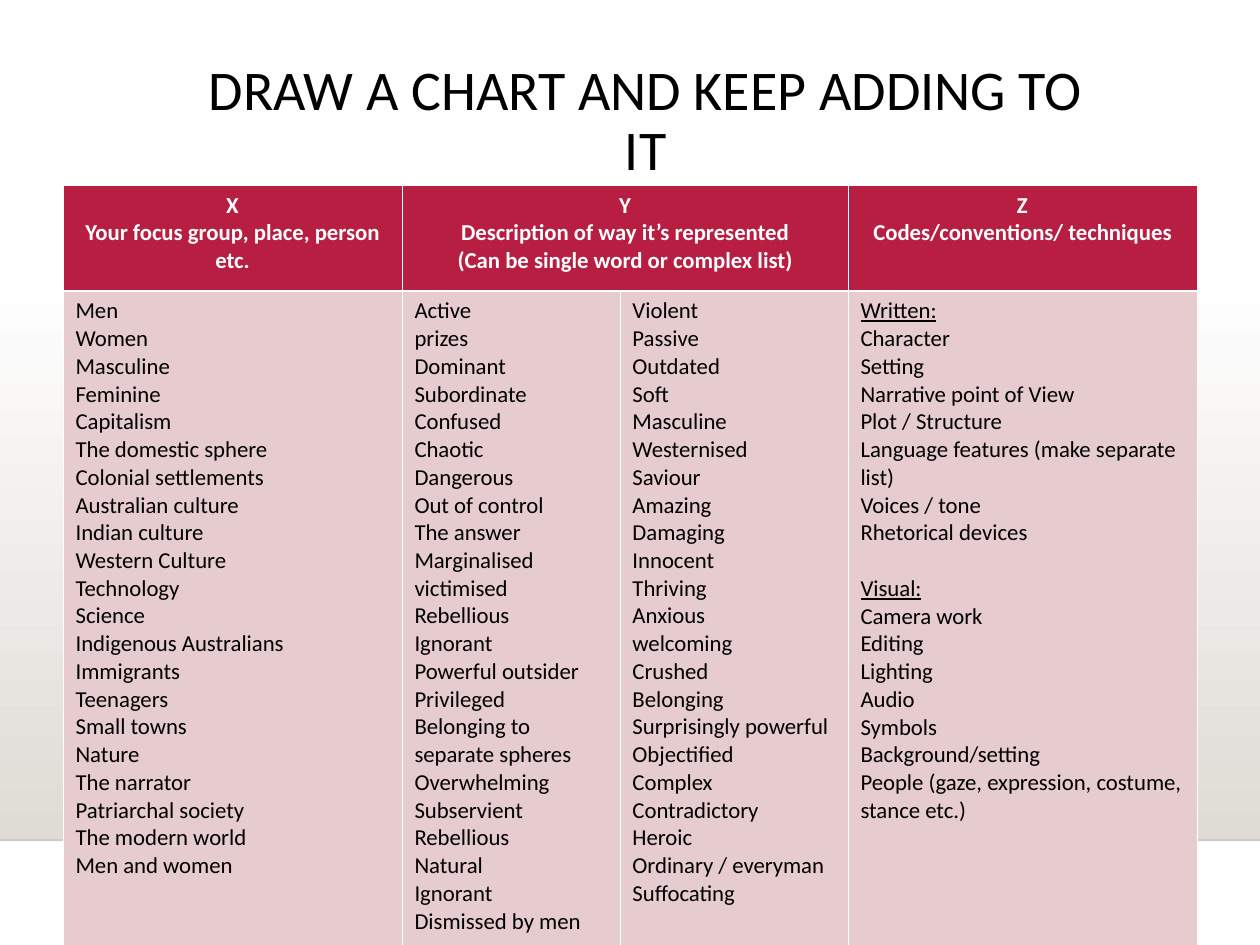
"""Build a slide with a three-part table of groups, descriptions and techniques."""
from lxml.etree import SubElement
from pptx import Presentation
from pptx.dml.color import RGBColor
from pptx.enum.shapes import MSO_CONNECTOR as Connector, MSO_SHAPE as Shape
from pptx.enum.text import MSO_ANCHOR as Anchor, MSO_AUTO_SIZE as AutoSize, PP_ALIGN as Align
from pptx.oxml.ns import qn
from pptx.util import Inches, Pt

BLACK = RGBColor(0, 0, 0)
WHITE = RGBColor(255, 255, 255)
CRIMSON = RGBColor(0xB7, 0x1E, 0x42)
BLUSH = RGBColor(0xE6, 0xCC, 0xCF)
STONE = RGBColor(0xDF, 0xDB, 0xD5)

COLUMNS = (2.69, 1.73, 1.81, 2.77)
ROWS = (0.84, 6.22)
HEADINGS = {
    0: "X\nYour focus group, place, person etc.",
    1: "Y\nDescription of way it’s represented\n(Can be single word or complex list)",
    3: "Z\nCodes/conventions/ techniques",
}
LISTS = (
    "Men\nWomen\nMasculine\nFeminine\nCapitalism\nThe domestic sphere\n"
    "Colonial settlements\nAustralian culture\nIndian culture\nWestern Culture\n"
    "Technology\nScience\nIndigenous Australians\nImmigrants\nTeenagers\n"
    "Small towns\nNature\nThe narrator\nPatriarchal society\nThe modern world\n"
    "Men and women",
    "Active\nprizes\nDominant\nSubordinate\nConfused\nChaotic\nDangerous\n"
    "Out of control\nThe answer\nMarginalised\nvictimised\nRebellious\nIgnorant\n"
    "Powerful outsider\nPrivileged\nBelonging to separate spheres\nOverwhelming\n"
    "Subservient\nRebellious\nNatural\nIgnorant\nDismissed by men",
    "Violent\nPassive\nOutdated\nSoft\nMasculine\nWesternised\nSaviour\nAmazing\n"
    "Damaging\nInnocent\nThriving\nAnxious\nwelcoming\nCrushed\nBelonging\n"
    "Surprisingly powerful\nObjectified\nComplex\nContradictory\nHeroic\n"
    "Ordinary / everyman\nSuffocating",
    "Written:\nCharacter\nSetting\nNarrative point of View\nPlot / Structure\n"
    "Language features (make separate list)\nVoices / tone\nRhetorical devices\n"
    "Visual:\nCamera work\nEditing\nLighting\nAudio\nSymbols\nBackground/setting\n"
    "People (gaze, expression, costume, stance etc.)",
)


def write(frame, text, size=13, color=BLACK, bold=False, align=Align.LEFT, spacing=1.0):
    for index, line in enumerate(text.split("\n")):
        para = frame.paragraphs[0] if index == 0 else frame.add_paragraph()
        para.alignment = align
        para.line_spacing = spacing
        span = para.add_run()
        span.text = line
        span.font.name = "Calibri"
        span.font.size = Pt(size)
        span.font.bold = bold
        span.font.color.rgb = color
        if line.endswith(":"):
            span.font.underline = True
            if index:
                para.space_before = Pt(16)


def style_cell(cell, fill, top, bottom):
    properties = cell._tc.get_or_add_tcPr()
    for side, width in (("L", 0.45), ("R", 0.45), ("T", top), ("B", bottom)):
        border = SubElement(properties, qn(f"a:ln{side}"), w=str(Pt(width)))
        paint = SubElement(border, qn("a:solidFill"))
        SubElement(paint, qn("a:srgbClr"), val=str(WHITE))
    cell.fill.solid()
    cell.fill.fore_color.rgb = fill


deck = Presentation()
deck.slide_width, deck.slide_height = Inches(10), Inches(7.5)
page = deck.slides.add_slide(deck.slide_layouts[5])
page.background.fill.solid()
page.background.fill.fore_color.rgb = WHITE

floor = Inches(6.67)
band = page.shapes.add_shape(Shape.RECTANGLE, 0, Inches(2.2), deck.slide_width, floor - Inches(2.2))
band.shadow.inherit = False
band.line.fill.background()
band.fill.gradient()
band.fill.gradient_angle = 270
for stop, color in zip(band.fill.gradient_stops, (WHITE, STONE)):
    stop.color.rgb = color

edge = page.shapes.add_connector(Connector.STRAIGHT, 0, floor, deck.slide_width, floor)
edge.line.width = Pt(1)
edge.line.color.rgb = BLACK
SubElement(edge.line._ln.find(".//" + qn("a:srgbClr")), qn("a:alpha"), val="20000")
SubElement(edge._element.spPr, qn("a:effectLst"))

title = page.shapes.title
title.left, title.top = Inches(1.53), Inches(0.44)
title.width, title.height = Inches(7.19), Inches(1.15)
title.text_frame.auto_size = AutoSize.NONE
title.text_frame.word_wrap = True
title.text_frame.vertical_anchor = Anchor.TOP
write(title.text_frame, "DRAW A CHART AND KEEP ADDING TO IT", size=32, align=Align.CENTER, spacing=0.9)

table = page.shapes.add_table(
    len(ROWS), len(COLUMNS), Inches(0.5), Inches(1.47), Inches(sum(COLUMNS)), Inches(sum(ROWS))
).table
for column, width in zip(table.columns, COLUMNS):
    column.width = Inches(width)
for row, height in zip(table.rows, ROWS):
    row.height = Inches(height)
table.cell(0, 1).merge(table.cell(0, 2))

for index, items in enumerate(LISTS):
    heading, body = table.cell(0, index), table.cell(1, index)
    style_cell(heading, CRIMSON, top=0.45, bottom=1.47)
    style_cell(body, BLUSH, top=1.47, bottom=0.45)
    write(body.text_frame, items)
    if index in HEADINGS:
        write(heading.text_frame, HEADINGS[index], color=WHITE, bold=True, align=Align.CENTER)

deck.save("out.pptx")
